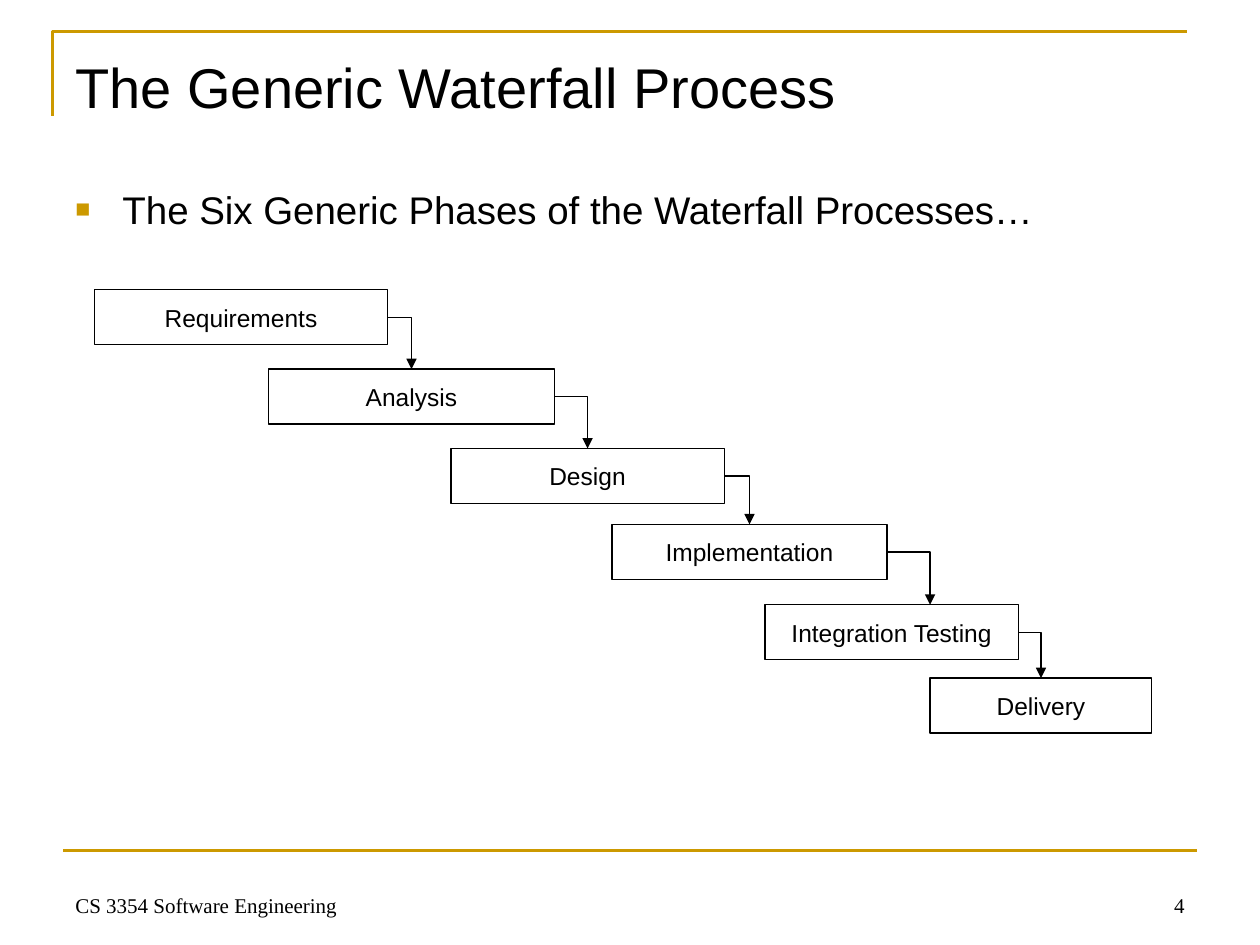
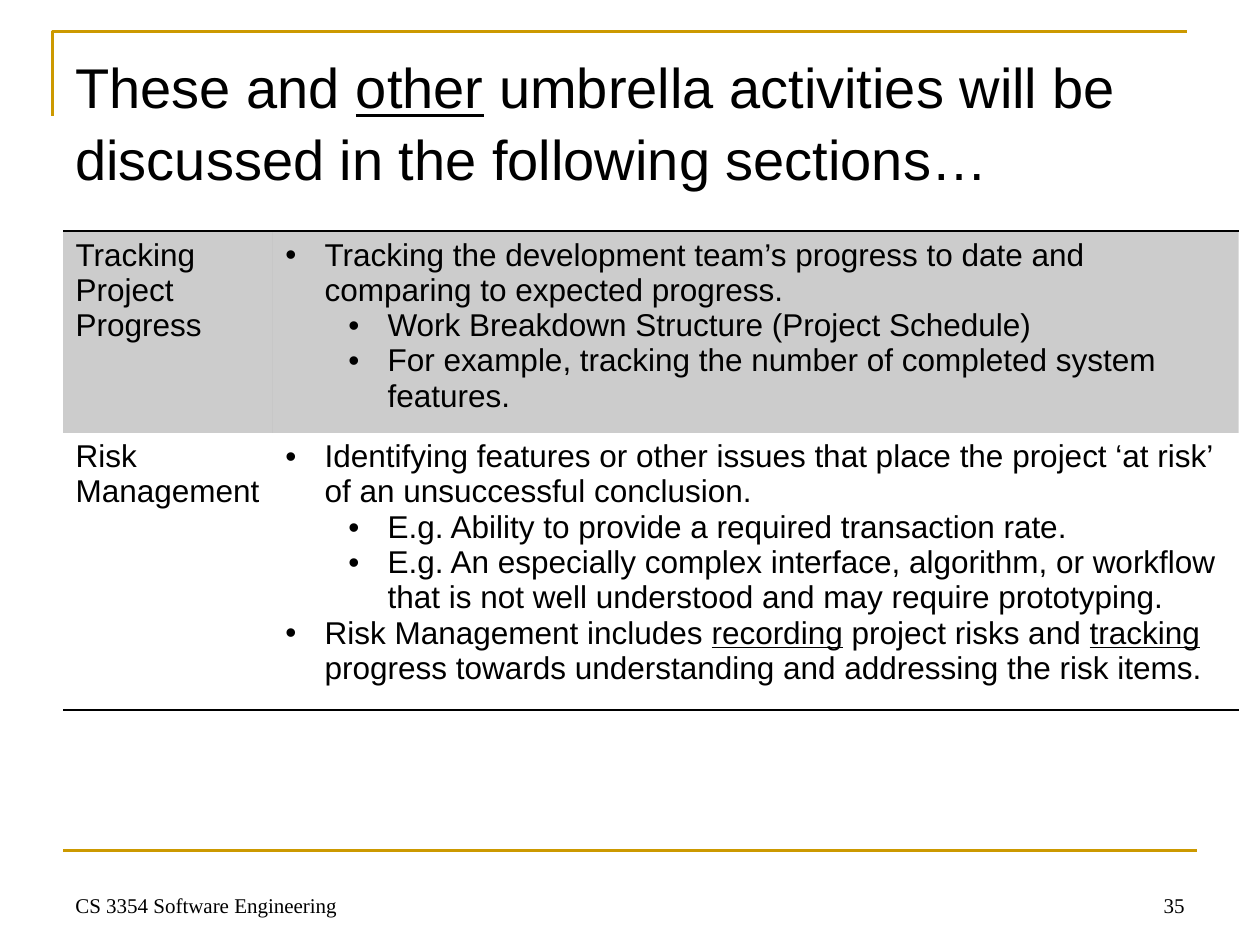
from dataclasses import dataclass
from typing import Any, Optional

import pptx
import pptx.dml.color
import pptx.enum.shapes
import pptx.enum.text
import pptx.oxml
import pptx.oxml.ns
import pptx.util
from pptx.util import Cm, Pt

COLORS = {"ink": "000000", "gold": "CC9900", "paper": "FFFFFF"}
SANS, SERIF = "Arial", "Times New Roman"
ALIGN = pptx.enum.text.PP_ALIGN
ANCHOR = pptx.enum.text.MSO_ANCHOR
PLAIN_TABLE_STYLE = "{2D5ABB26-0587-4C30-8999-92F81FD0307C}"
PHASE_HEIGHT = 1.11


@dataclass(frozen=True)
class Style:
    size: float
    font: str = SANS
    align: Any = ALIGN.LEFT
    line_spacing: Optional[float] = None
    space_before: float = 0


@dataclass(frozen=True)
class Bullet:
    symbol: str
    indent: float
    hang: float
    color: str = COLORS["ink"]
    percent: int = 100


@dataclass(frozen=True)
class Line:
    text: str
    bullet: Optional[Bullet] = None
    level: int = 0


@dataclass(frozen=True)
class Phase:
    name: str
    left: float
    top: float
    width: float
    entry: Optional[float] = None


@dataclass(frozen=True)
class Activity:
    name: str
    details: tuple[Line, ...]
    height: float
    border: str
    shaded: bool


TITLE = Style(32, line_spacing=1.07)
BODY = Style(22, space_before=4.4)
PHASE = Style(14, align=ALIGN.CENTER)
CELL = Style(18)
FOOTER = Style(12, SERIF)
PAGE_NUMBER = Style(12, SERIF, ALIGN.RIGHT)

SQUARE = Bullet("■", 0.95, 0.95, COLORS["gold"], 65)
DOT = Bullet("•", 0.79, 0.79)
SUB_DOT = Bullet("•", 2.06, 0.79)

PHASES = (
    Phase("Requirements", 1.9, 5.84, 5.92),
    Phase("Analysis", 5.41, 7.44, 5.77),
    Phase("Design", 9.09, 9.04, 5.51),
    Phase("Implementation", 12.34, 10.57, 5.54),
    Phase("Integration Testing", 15.42, 12.19, 5.11, entry=18.75),
    Phase("Delivery", 18.75, 13.67, 4.47),
)

ACTIVITIES = (
    Activity("Tracking Project Progress", (
        Line("Tracking the development team’s progress to date and comparing to expected progress.", DOT),
        Line("Work Breakdown Structure (Project Schedule)", SUB_DOT, 1),
        Line("For example, tracking the number of completed system features.", SUB_DOT, 1),
    ), 2.46, "lnT", True),
    Activity("Risk Management", (
        Line("Identifying features or other issues that place the project ‘at risk’ "
             "of an unsuccessful conclusion.", DOT),
        Line("E.g. Ability to provide a required transaction rate.", SUB_DOT, 1),
        Line("E.g. An especially complex interface, algorithm, or workflow that is not well "
             "understood and may require prototyping.", SUB_DOT, 1),
        Line("Risk Management includes |recording| project risks and |tracking| progress "
             "towards understanding and addressing the risk items.", DOT),
    ), 5.38, "lnB", False),
)


def rgb(color: str) -> pptx.dml.color.RGBColor:
    return pptx.dml.color.RGBColor.from_string(color)


def apply_format(target: Any, values: dict[str, Any]) -> None:
    for attribute, value in values.items():
        setattr(target, attribute, value)


def add_xml(parent: Any, tag: str, **attributes: Any) -> Any:
    child = pptx.oxml.parse_xml(f"<a:{tag} {pptx.oxml.ns.nsdecls('a')}/>")
    for name, value in attributes.items():
        child.set(name, str(value))
    parent.append(child)
    return child


def add_bullet(paragraph: Any, bullet: Bullet) -> None:
    properties = paragraph._p.get_or_add_pPr()
    properties.set("marL", str(Cm(bullet.indent)))
    properties.set("indent", str(-Cm(bullet.hang)))
    add_xml(add_xml(properties, "buClr"), "srgbClr", val=bullet.color)
    add_xml(properties, "buSzPct", val=bullet.percent * 1000)
    add_xml(properties, "buFont", typeface=SANS)
    add_xml(properties, "buChar", char=bullet.symbol)


def write(frame: Any, lines: tuple[Line, ...], style: Style) -> None:
    for index, line in enumerate(lines):
        paragraph = frame.add_paragraph() if index else frame.paragraphs[0]
        apply_format(paragraph, {
            "alignment": style.align, "level": line.level,
            "line_spacing": style.line_spacing, "space_before": Pt(style.space_before),
        })
        if line.bullet:
            add_bullet(paragraph, line.bullet)
        for position, part in enumerate(line.text.split("|")):
            run = paragraph.add_run()
            run.text = part
            apply_format(run.font, {"name": style.font, "size": Pt(style.size)})
            run.font.color.rgb = rgb(COLORS["ink"])
            if position % 2:
                run.font.underline = True


def add_text(slide: Any, left: float, top: float, width: float, height: float,
             line: Line, style: Style, anchor: Any = ANCHOR.TOP) -> None:
    frame = slide.shapes.add_textbox(Cm(left), Cm(top), Cm(width), Cm(height)).text_frame
    apply_format(frame, {"word_wrap": True, "vertical_anchor": anchor})
    write(frame, (line,), style)


def set_line(shape: Any, color: str, width: float) -> None:
    shape.line.color.rgb = rgb(color)
    shape.line.width = Pt(width)


def add_connector(slide: Any, kind: Any, start: tuple[int, int], end: tuple[int, int],
                  color: str, width: float) -> Any:
    connector = slide.shapes.add_connector(kind, *start, *end)
    set_line(connector, color, width)
    add_xml(connector._element.spPr, "effectLst")
    return connector


def add_base_slide(deck: Any, title: str, number: int) -> Any:
    slide = deck.slides.add_slide(deck.slide_layouts[6])
    outline = slide.shapes.build_freeform(Cm(1.06), Cm(2.33))
    outline.add_line_segments([(Cm(1.06), Cm(0.64)), (Cm(23.92), Cm(0.64))], close=False)
    corner = outline.convert_to_shape()
    corner.shadow.inherit = False
    corner.fill.background()
    set_line(corner, COLORS["gold"], 1.5)
    add_connector(slide, pptx.enum.shapes.MSO_CONNECTOR.STRAIGHT,
                  (Cm(1.27), Cm(17.15)), (Cm(24.13), Cm(17.15)), COLORS["gold"], 1.5)
    add_text(slide, 1.27, 0.85, 22.86, 3.18, Line(title), TITLE)
    add_text(slide, 1.27, 17.36, 5.93, 1.27, Line("CS 3354 Software Engineering"),
             FOOTER, ANCHOR.BOTTOM)
    add_text(slide, 18.2, 17.36, 5.93, 1.27, Line(str(number)), PAGE_NUMBER, ANCHOR.BOTTOM)
    return slide


def add_phase(slide: Any, phase: Phase) -> Any:
    box = slide.shapes.add_shape(pptx.enum.shapes.MSO_SHAPE.RECTANGLE, Cm(phase.left),
                                 Cm(phase.top), Cm(phase.width), Cm(PHASE_HEIGHT))
    box.shadow.inherit = False
    box.fill.solid()
    box.fill.fore_color.rgb = rgb(COLORS["paper"])
    set_line(box, COLORS["ink"], 0.75)
    apply_format(box.text_frame, {"word_wrap": False, "vertical_anchor": ANCHOR.MIDDLE})
    write(box.text_frame, (Line(phase.name),), PHASE)
    return box


def add_step_arrow(slide: Any, source: Any, target: Any, entry: Optional[float]) -> None:
    start = (source.left + source.width, source.top + source.height // 2)
    end = (Cm(entry) if entry else target.left + target.width // 2, target.top)
    arrow = add_connector(slide, pptx.enum.shapes.MSO_CONNECTOR.ELBOW, start, end,
                          COLORS["ink"], 0.75)
    arrow._element.spPr.find(pptx.oxml.ns.qn("a:prstGeom")).set("prst", "bentConnector2")
    add_xml(arrow.line._get_or_add_ln(), "tailEnd", type="triangle", w="med", len="med")
    arrow.begin_connect(source, 3)
    if entry is None:
        arrow.end_connect(target, 0)


def add_border(cell: Any, side: str) -> None:
    properties = cell._tc.get_or_add_tcPr()
    border = add_xml(properties, side, w=Pt(1))
    add_xml(add_xml(border, "solidFill"), "srgbClr", val=COLORS["ink"])
    properties.insert(0, border)


def shade(cell: Any, shaded: bool) -> None:
    if not shaded:
        cell.fill.background()
        return
    cell.fill.solid()
    cell.fill.fore_color.rgb = rgb(COLORS["ink"])
    tint = cell._tc.tcPr.find(".//" + pptx.oxml.ns.qn("a:srgbClr"))
    add_xml(tint, "alpha", val=20000)


def add_activities(slide: Any) -> None:
    widths = (4.23, 19.47)
    heights = [activity.height for activity in ACTIVITIES]
    grid = slide.shapes.add_table(len(ACTIVITIES), len(widths), Cm(1.27), Cm(4.66),
                                  Cm(sum(widths)), Cm(sum(heights))).table
    apply_format(grid, {"first_row": False, "horz_banding": False})
    grid._tbl.tblPr.find(pptx.oxml.ns.qn("a:tableStyleId")).text = PLAIN_TABLE_STYLE
    for column, width in zip(grid.columns, widths):
        column.width = Cm(width)
    for row, activity in zip(grid.rows, ACTIVITIES):
        row.height = Cm(activity.height)
        for cell, lines in zip(row.cells, ((Line(activity.name),), activity.details)):
            write(cell.text_frame, lines, CELL)
            shade(cell, activity.shaded)
            add_border(cell, activity.border)


def build_waterfall(deck: Any) -> None:
    slide = add_base_slide(deck, "The Generic Waterfall Process", 4)
    add_text(slide, 1.27, 3.63, 22.86, 4.37,
             Line("The Six Generic Phases of the Waterfall Processes…", SQUARE), BODY)
    boxes = [add_phase(slide, phase) for phase in PHASES]
    for source, target, phase in zip(boxes, boxes[1:], PHASES[1:]):
        add_step_arrow(slide, source, target, phase.entry)


def build_umbrella_activities(deck: Any) -> None:
    slide = add_base_slide(
        deck, "These and |other| umbrella activities will be discussed in the following sections…", 35)
    add_activities(slide)


def main() -> None:
    deck = pptx.Presentation()
    apply_format(deck, {"slide_width": Cm(25.4), "slide_height": Cm(19.05)})
    build_waterfall(deck)
    build_umbrella_activities(deck)
    deck.save("out.pptx")


if __name__ == "__main__":
    main()
